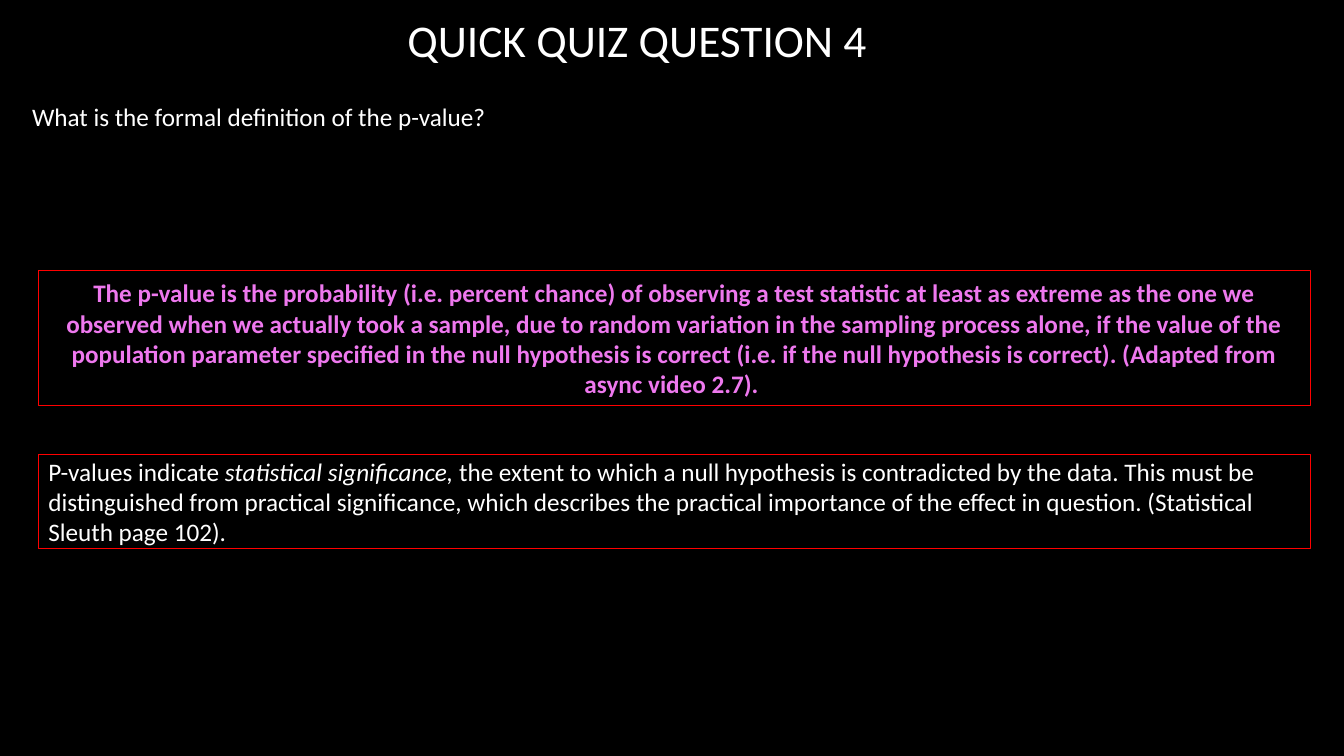
from pptx import Presentation
from pptx.dml.color import RGBColor
from pptx.enum.shapes import MSO_SHAPE
from pptx.enum.text import MSO_ANCHOR, MSO_AUTO_SIZE, PP_ALIGN
from pptx.util import Pt

FONT = "Calibri"
WHITE = "FFFFFF"
PINK = "EE78EE"
RED = "FF0000"
BLACK = "000000"
BOX_LEFT, BOX_WIDTH = 27.4, 908.6


def color(hex_string):
    return RGBColor.from_string(hex_string)


def place(shape, left, top, width, height):
    shape.left, shape.top = Pt(left), Pt(top)
    shape.width, shape.height = Pt(width), Pt(height)


def write_text(shape, runs, size=18, text_color=WHITE, align=PP_ALIGN.LEFT, bold=False, space_after=10):
    frame = shape.text_frame
    frame.word_wrap = True
    frame.auto_size = MSO_AUTO_SIZE.NONE
    frame.vertical_anchor = MSO_ANCHOR.MIDDLE
    paragraph = frame.paragraphs[0]
    paragraph.alignment = align
    paragraph.space_before = Pt(0)
    paragraph.space_after = Pt(space_after)
    for text, italic in runs:
        run = paragraph.add_run()
        run.text = text
        run.font.name = FONT
        run.font.size = Pt(size)
        run.font.bold = bold
        run.font.italic = italic
        run.font.color.rgb = color(text_color)


def add_title(slide, text):
    title = slide.shapes.title
    place(title, 56.2, 5.8, 797.8, 44.6)
    write_text(title, [(text, False)], size=32.4, align=PP_ALIGN.CENTER, space_after=0)


def add_question(slide, text):
    question = slide.shapes.add_textbox(Pt(15.8), Pt(57.6), Pt(932.4), Pt(51.8))
    write_text(question, [(text, False)])


def add_answer_box(slide, top, height, runs, **text_format):
    box = slide.shapes.add_shape(
        MSO_SHAPE.RECTANGLE, Pt(BOX_LEFT), Pt(top), Pt(BOX_WIDTH), Pt(height))
    box.shadow.inherit = False
    box.fill.background()
    box.line.color.rgb = color(RED)
    box.line.width = Pt(0.75)
    write_text(box, runs, **text_format)


def main():
    presentation = Presentation()
    presentation.slide_width, presentation.slide_height = Pt(960), Pt(540)
    slide = presentation.slides.add_slide(presentation.slide_layouts.get_by_name("Title Only"))
    slide.background.fill.solid()
    slide.background.fill.fore_color.rgb = color(BLACK)

    add_title(slide, "QUICK QUIZ QUESTION 4")
    add_question(slide, "What is the formal definition of the p-value?")
    add_answer_box(slide, 193.4, 96.5, [
        ("The p-value is the probability (i.e. percent chance) of observing a test statistic "
         "at least as extreme as the one we observed when we actually took a sample, due to "
         "random variation in the sampling process alone, if the value of the population "
         "parameter specified in the null hypothesis is correct (i.e. if the null hypothesis "
         "is correct). (Adapted from async video 2.7). ", False),
    ], text_color=PINK, align=PP_ALIGN.CENTER, bold=True)
    add_answer_box(slide, 324.7, 67.3, [
        ("P-values indicate ", False),
        ("statistical significance, ", True),
        ("the extent to which a null hypothesis is contradicted by the data. This must be "
         "distinguished from practical significance, which describes the practical importance "
         "of the effect in question. (Statistical Sleuth page 102).", False),
    ])
    presentation.save("out.pptx")


if __name__ == "__main__":
    main()
